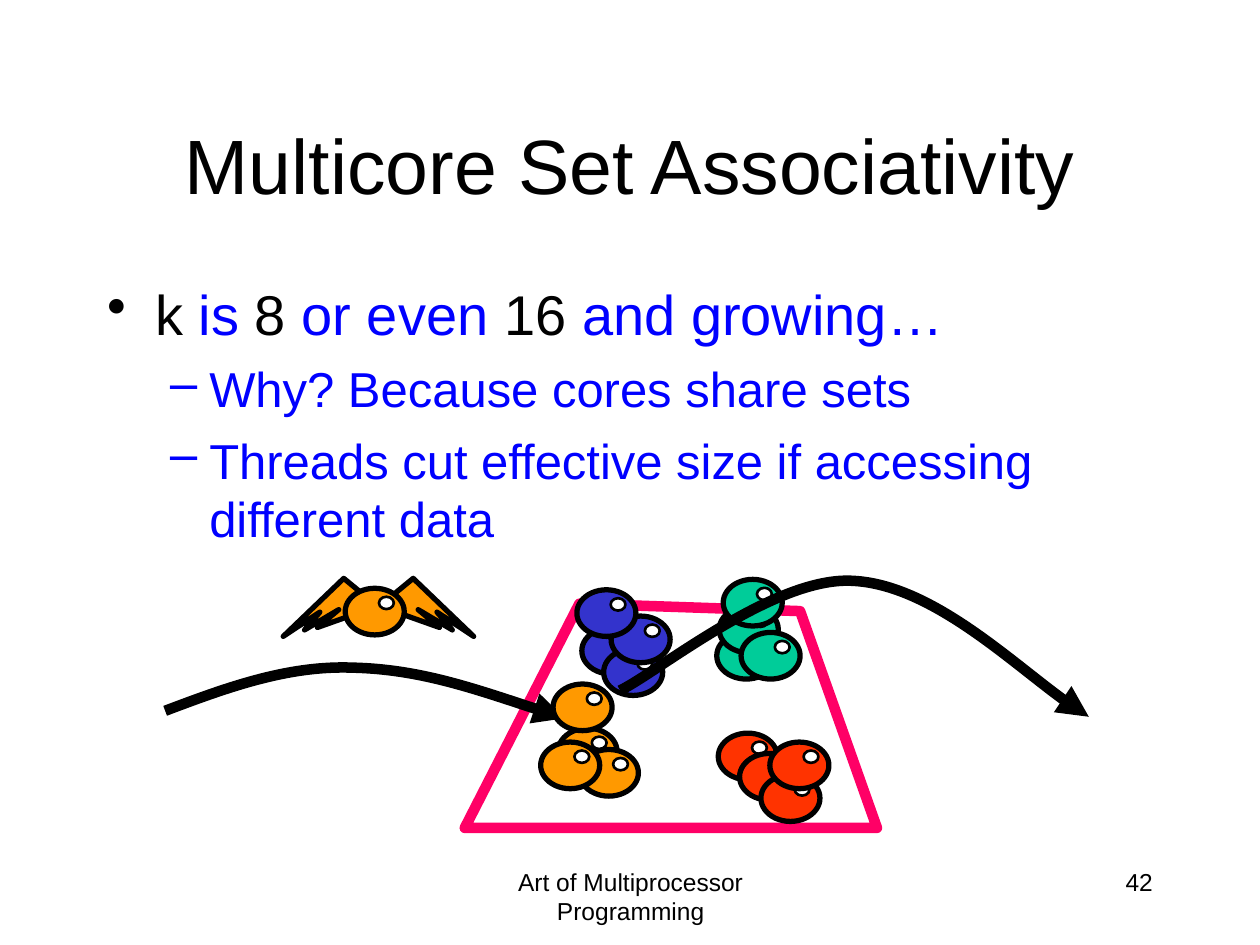
from dataclasses import dataclass

from lxml import etree
from pptx import Presentation
from pptx import util as u
from pptx.dml.color import RGBColor
from pptx.enum import shapes, text
from pptx.oxml import ns


@dataclass(frozen=True)
class Theme:
    """Colours and type sizes of the deck."""
    font: str = "Arial"
    ink: str = "000000"
    accent: str = "0000FF"
    paper: str = "FFFFFF"
    cache: str = "FF0066"
    orange: str = "FF9900"
    red: str = "FF3300"
    green: str = "00CC99"
    blue: str = "3333CC"
    title: int = 44
    body: int = 32
    detail: int = 28
    footer: int = 14
    thick: float = 6
    outline: float = 3
    thin: float = 1.5


class Slide:
    """Draws styled elements on one title-only slide."""

    def __init__(self, deck, theme):
        self.theme = theme
        self.page = deck.slides.add_slide(deck.slide_layouts[5])

    def paint(self, shape, fill, line, width):
        """Set the fill and outline of a shape."""
        shape.shadow.inherit = False
        if fill:
            shape.fill.solid()
            shape.fill.fore_color.rgb = RGBColor.from_string(fill)
        else:
            shape.fill.background()
        shape.line.color.rgb = RGBColor.from_string(line)
        shape.line.width = u.Pt(width)

    def style(self, paragraph, size, color):
        """Set the font of a whole paragraph."""
        paragraph.font.name = self.theme.font
        paragraph.font.size = u.Pt(size)
        paragraph.font.color.rgb = RGBColor.from_string(color)

    def title(self, words, box):
        """Place and fill the title."""
        heading = self.page.shapes.title
        heading.left, heading.top, heading.width, heading.height = map(u.Cm, box)
        heading.text_frame.text = words
        heading.text_frame.vertical_anchor = text.MSO_ANCHOR.MIDDLE
        line = heading.text_frame.paragraphs[0]
        line.alignment = text.PP_ALIGN.CENTER
        self.style(line, self.theme.title, self.theme.ink)

    def frame(self, box):
        """Add a wrapping text box and return its frame."""
        frame = self.page.shapes.add_textbox(*map(u.Cm, box)).text_frame
        frame.word_wrap = True
        return frame

    def footer(self, words, box, alignment):
        """Add one line of footer text."""
        line = self.frame(box).paragraphs[0]
        line.text = words
        line.alignment = alignment
        self.style(line, self.theme.footer, self.theme.ink)

    def bullet(self, paragraph, mark, color, margin, hanging):
        """Give a paragraph a coloured bullet and a hanging indent."""
        props = paragraph._p.get_or_add_pPr()
        props.set("marL", str(u.Cm(margin)))
        props.set("indent", str(-u.Cm(hanging)))
        tint = etree.SubElement(props, ns.qn("a:buClr"))
        etree.SubElement(tint, ns.qn("a:srgbClr"), val=color)
        etree.SubElement(props, ns.qn("a:buChar"), char=mark)

    def outline(self, point, details, box):
        """Add a main point of coloured runs, then its details."""
        theme = self.theme
        frame = self.frame(box)
        main = frame.paragraphs[0]
        self.bullet(main, "•", theme.ink, 0.97, 0.97)
        self.style(main, theme.body, theme.accent)
        for words, color in point:
            run = main.add_run()
            run.text = words
            run.font.color.rgb = RGBColor.from_string(color)
        for words in details:
            detail = frame.add_paragraph()
            detail.text = words
            detail.level = 1
            detail.space_before = u.Pt(7)
            self.bullet(detail, "–", theme.accent, 2.06, 0.79)
            self.style(detail, theme.detail, theme.accent)

    def polygon(self, points, fill, line, width, home=None, close=True):
        """Draw an outline through points, in a group if one is given."""
        start, *rest = [(u.Cm(x), u.Cm(y)) for x, y in points]
        builder = (home or self.page).shapes.build_freeform(*start)
        builder.add_line_segments(rest, close=close)
        shape = builder.convert_to_shape()
        self.paint(shape, fill, line, width)
        return shape

    def curve(self, points):
        """Draw a curved arrow from Bezier points."""
        theme = self.theme
        shape = self.polygon(points, None, theme.ink, theme.thick, close=False)
        props = shape._element.spPr
        etree.SubElement(props.find(ns.qn("a:ln")), ns.qn("a:tailEnd"), type="triangle")
        route = next(props.iter(ns.qn("a:path")))
        steps = route.findall(ns.qn("a:lnTo"))
        for i in range(0, len(steps), 3):
            bend = etree.SubElement(route, ns.qn("a:cubicBezTo"))
            for step in steps[i:i + 3]:
                bend.append(step[0])
                route.remove(step)

    def ball(self, x, y, color, home=None):
        """Draw a ball with a highlight."""
        theme = self.theme
        home = home or self.page.shapes.add_group_shape()
        for box, fill, width in (
            ((x, y, 1.19, 0.94), color, theme.outline),
            ((x + 0.68, y + 0.17, 0.3, 0.25), theme.paper, theme.thin),
        ):
            oval = home.shapes.add_shape(shapes.MSO_SHAPE.OVAL, *map(u.Cm, box))
            self.paint(oval, fill, theme.ink, width)

    def winged_ball(self, x, y, wing, axis):
        """Draw a ball with a wing mirrored about the axis."""
        theme = self.theme
        home = self.page.shapes.add_group_shape()
        mirrored = [(2 * axis - px, py) for px, py in wing]
        for side in (wing, mirrored):
            self.polygon(side, theme.orange, theme.ink, theme.outline, home)
        self.ball(x, y, theme.orange, home)


def main():
    """Build the slide."""
    theme = Theme()
    deck = Presentation()
    deck.slide_width, deck.slide_height = u.Cm(25.4), u.Cm(19.05)
    slide = Slide(deck, theme)

    slide.footer("Art of Multiprocessor Programming", (8.69, 17.35, 8.05, 1.27),
                 text.PP_ALIGN.CENTER)
    slide.footer("42", (18.21, 17.35, 5.28, 1.27), text.PP_ALIGN.RIGHT)
    slide.title("Multicore Set Associativity", (1.91, 1.7, 21.59, 3.18))
    slide.outline(
        [("k", theme.ink), (" is ", theme.accent), ("8", theme.ink),
         (" or even ", theme.accent), ("16", theme.ink),
         (" and growing…", theme.accent)],
        ["Why? Because cores share sets",
         "Threads cut effective size if accessing different data"],
        (1.91, 5.51, 21.59, 11.43))

    slide.polygon([(11.68, 12.17), (9.37, 16.69), (17.68, 16.69), (16.13, 12.32)],
                  None, theme.cache, theme.thick)
    wing = [(7.77, 12.12), (8.33, 11.66), (9.55, 12.83), (8.81, 12.34),
            (9.12, 12.7), (8.43, 12.29), (8.86, 12.65), (7.65, 12.22)]
    slide.winged_ball(6.96, 11.86, wing, axis=7.63)
    slide.curve([(3.33, 14.33), (4.55, 13.87), (5.79, 13.41), (7.11, 13.46),
                 (8.46, 13.49), (9.91, 14), (11.38, 14.48)])

    cache_sets = {
        theme.red: [(14.48, 14.78), (14.91, 15.19), (15.34, 15.62), (15.52, 14.96)],
        theme.orange: [(11.25, 14.68), (11.68, 15.11), (10.9, 14.96), (11.15, 13.79)],
        theme.green: [(14.45, 12.75), (14.5, 12.22), (14.58, 11.68), (14.94, 12.75)],
        theme.blue: [(11.73, 12.65), (12.17, 13.08), (12.32, 12.42), (11.63, 11.89)],
    }
    for color, places in cache_sets.items():
        for x, y in places:
            slide.ball(x, y, color)
    slide.curve([(12.5, 13.92), (13.28, 13.54), (15.62, 11.61), (17.2, 11.71),
                 (18.77, 11.79), (20.96, 13.87), (21.95, 14.45)])
    deck.save("out.pptx")


if __name__ == "__main__":
    main()
